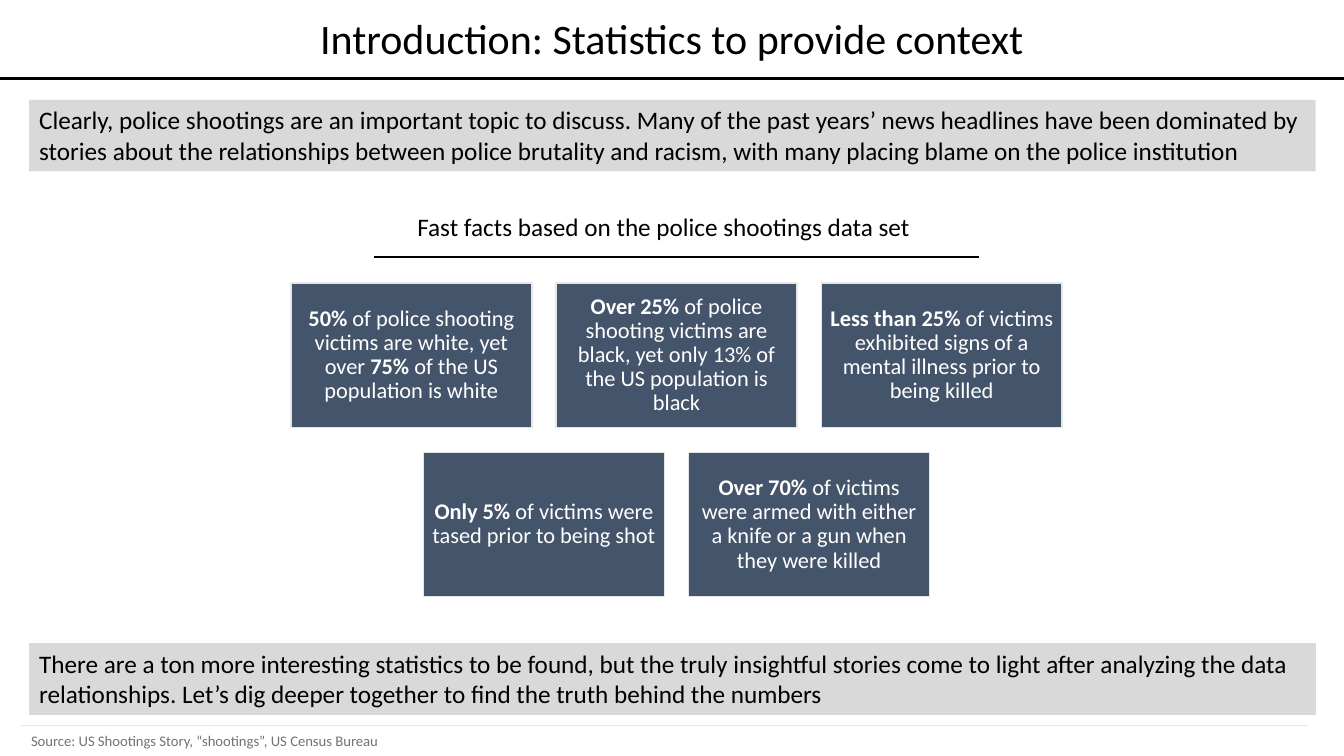
from lxml import etree
from pptx import Presentation
from pptx.dml.color import RGBColor
from pptx.enum.shapes import MSO_CONNECTOR, MSO_SHAPE
from pptx.enum.text import MSO_ANCHOR, MSO_AUTO_SIZE, PP_ALIGN
from pptx.oxml.ns import qn
from pptx.util import Inches, Pt

RECT = MSO_SHAPE.RECTANGLE
STRAIGHT = MSO_CONNECTOR.STRAIGHT
LEFT, CENTER = PP_ALIGN.LEFT, PP_ALIGN.CENTER
MIDDLE, TOP = MSO_ANCHOR.MIDDLE, MSO_ANCHOR.TOP
FIT_SHAPE = MSO_AUTO_SIZE.SHAPE_TO_FIT_TEXT

BLACK = RGBColor(0x00, 0x00, 0x00)
WHITE = RGBColor(0xFF, 0xFF, 0xFF)
SLATE = RGBColor(0x44, 0x54, 0x6A)
BAND = RGBColor(0xD9, 0xD9, 0xD9)
PALE = RGBColor(0xE7, 0xE6, 0xE6)
GREY = RGBColor(0x76, 0x71, 0x71)

SLIDE_W, SLIDE_H = 13.33, 7.5
CARD_W, CARD_H = 2.39, 1.43
CARD_STEP_X, CARD_STEP_Y = 2.63, 1.68
CARDS_CENTER, CARDS_TOP = 6.71, 2.81

# Runs alternate between bold and regular, starting with bold
FACT_ROWS = [
    [
        ["50% ", "of police shooting victims are white, yet over ",
         "75% ", "of the US population is white"],
        ["Over 25% ", "of police shooting victims are black, yet only 13% "
         "of the US population is black"],
        ["Less than 25% ", "of victims exhibited signs of a mental illness "
         "prior to being killed"],
    ],
    [
        ["Only 5% ", "of victims were tased prior to being shot"],
        ["Over 70% ", "of victims were armed with either a knife or a gun "
         "when they were killed"],
    ],
]


class SlideBuilder:
    font = "Calibri"

    def __init__(self, slide):
        self.slide = slide

    def style(self, p, size, color, align):
        p.alignment = align
        p.font.name = self.font
        p.font.size = Pt(size)
        p.font.color.rgb = color

    def rule(self, x1, x2, y, color, width):
        line = self.slide.shapes.add_connector(
            STRAIGHT, Inches(x1), Inches(y), Inches(x2), Inches(y))
        line.line.color.rgb = color
        line.line.width = Pt(width)
        etree.SubElement(line._element.spPr, qn("a:effectLst"))

    def text(self, x, y, w, h, text, size, color=BLACK, align=LEFT, wrap=False):
        tf = self.slide.shapes.add_textbox(
            Inches(x), Inches(y), Inches(w), Inches(h)).text_frame
        tf.word_wrap = wrap
        tf.auto_size = FIT_SHAPE
        tf.text = text
        self.style(tf.paragraphs[0], size, color, align)

    def box(self, x, y, w, h, fill, line=None, width=1):
        sp = self.slide.shapes.add_shape(
            RECT, Inches(x), Inches(y), Inches(w), Inches(h))
        sp.shadow.inherit = False
        sp.fill.solid()
        sp.fill.fore_color.rgb = fill
        if line is None:
            sp.line.fill.background()
        else:
            sp.line.color.rgb = line
            sp.line.width = Pt(width)
        sp.text_frame.word_wrap = True
        return sp.text_frame

    def band(self, y, text, line=None):
        tf = self.box(0.29, y, 12.76, 0.71, BAND, line, 0.75)
        tf.vertical_anchor = TOP
        tf.auto_size = FIT_SHAPE
        tf.text = text
        self.style(tf.paragraphs[0], 18, BLACK, LEFT)

    def card(self, x, y, runs):
        tf = self.box(x, y, CARD_W, CARD_H, SLATE, PALE)
        tf.vertical_anchor = MIDDLE
        tf.margin_left = tf.margin_right = Inches(0.07)
        tf.margin_top = tf.margin_bottom = Inches(0.07)
        p = tf.paragraphs[0]
        p.line_spacing = 0.9
        self.style(p, 16, WHITE, CENTER)
        for i, text in enumerate(runs):
            r = p.add_run()
            r.text = text
            r.font.bold = i % 2 == 0


def main():
    prs = Presentation()
    prs.slide_width, prs.slide_height = Inches(SLIDE_W), Inches(SLIDE_H)
    s = SlideBuilder(prs.slides.add_slide(prs.slide_layouts[6]))

    # Title
    s.rule(0, SLIDE_W, 0.78, BLACK, 2)
    s.text(0, 0.07, SLIDE_W, 0.61, "Introduction: Statistics to provide context",
           30, align=CENTER, wrap=True)

    # Source footer
    s.text(0.21, 7.21, 3.73, 0.28,
           "Source: US Shootings Story, “shootings”, US Census Bureau", 10.5, GREY)
    s.rule(0.21, 12.97, 7.2, PALE, 1)

    # Opening and closing statements
    s.band(0.99, "Clearly, police shootings are an important topic to discuss. "
           "Many of the past years’ news headlines have been dominated by stories "
           "about the relationships between police brutality and racism, with many "
           "placing blame on the police institution")
    s.band(6.38, "There are a ton more interesting statistics to be found, but the "
           "truly insightful stories come to light after analyzing the data "
           "relationships. Let’s dig deeper together to find the truth behind the "
           "numbers", BAND)

    # Fact cards, each row centred
    for row, facts in enumerate(FACT_ROWS):
        row_w = CARD_W + CARD_STEP_X * (len(facts) - 1)
        left = CARDS_CENTER - row_w / 2
        for col, runs in enumerate(facts):
            s.card(left + col * CARD_STEP_X, CARDS_TOP + row * CARD_STEP_Y, runs)

    # Heading of the fact cards
    s.text(4.04, 2.05, 5.25, 0.4,
           "Fast facts based on the police shootings data set", 18)
    s.rule(3.71, 9.71, 2.55, BLACK, 1.5)

    prs.save("out.pptx")


if __name__ == "__main__":
    main()
